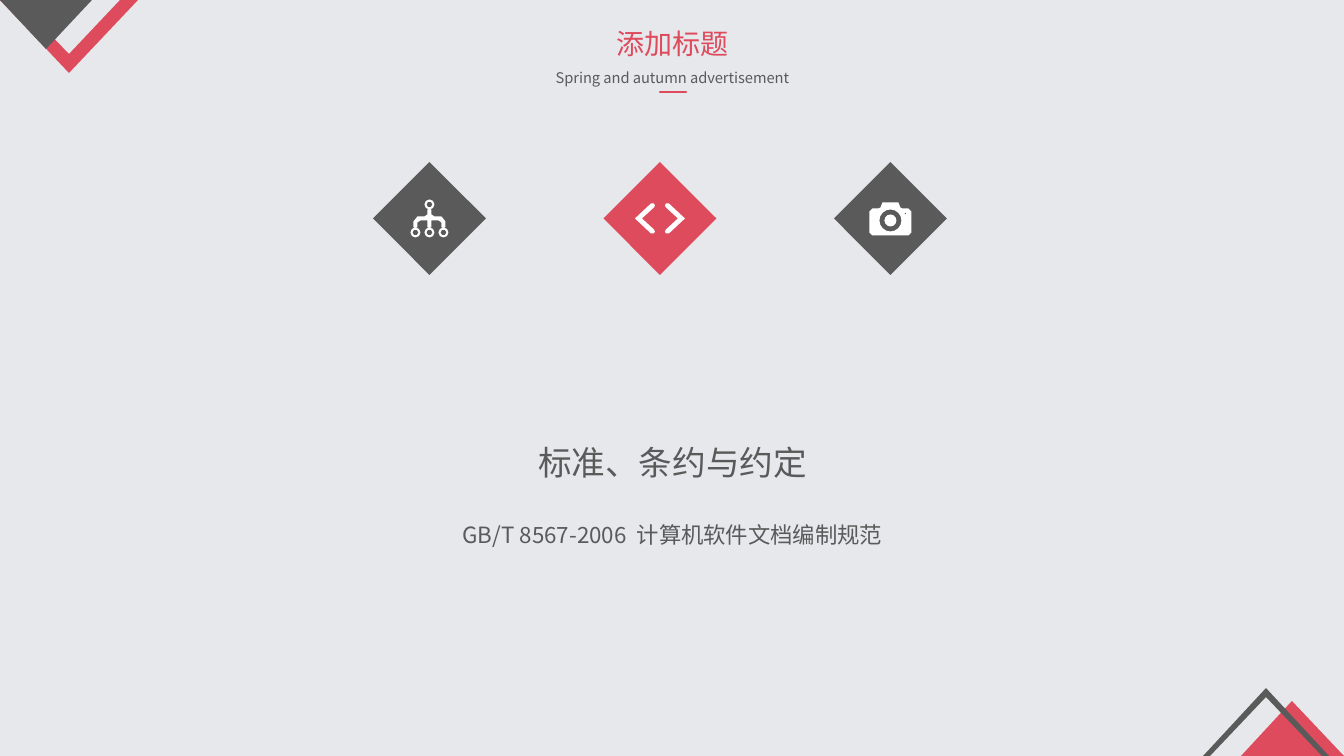
from dataclasses import dataclass
from math import cos, pi, sin

from lxml.etree import SubElement
from pptx import Presentation
from pptx.dml.color import RGBColor
from pptx.enum.shapes import MSO_CONNECTOR, MSO_SHAPE
from pptx.enum.text import MSO_ANCHOR, MSO_AUTO_SIZE, PP_ALIGN
from pptx.oxml.ns import qn
from pptx.util import Pt

EMU_PER_PX = 914400 / 100.8


@dataclass(frozen=True)
class Theme:
    """Colours, font and type sizes of the deck."""
    background: str = "E7E8EC"
    accent: str = "DE4B5D"
    dark: str = "5A5A5A"
    light: str = "FFFFFF"
    font: str = "Noto Sans CJK SC"
    title: float = 20
    subtitle: float = 10.5
    heading: float = 24
    body: float = 16
    rule: float = 1.75


THEME = Theme()


def px(n):
    """Turn px into EMU."""
    return round(n * EMU_PER_PX)


def rgb(color):
    """Turn a hex string into a colour."""
    return RGBColor.from_string(color)


def paint(sp, color):
    """Give a shape a flat fill without line or shadow."""
    sp.shadow.inherit = False
    sp.fill.solid()
    sp.fill.fore_color.rgb = rgb(color)
    sp.line.fill.background()
    return sp


def write(sp, text, size, color, spacing=None, wrap=True, anchor=MSO_ANCHOR.TOP):
    """Write one centred, formatted paragraph into a shape."""
    tf = sp.text_frame
    tf.word_wrap = wrap
    tf.auto_size = MSO_AUTO_SIZE.NONE
    tf.vertical_anchor = anchor
    p = tf.paragraphs[0]
    p.alignment = PP_ALIGN.CENTER
    if spacing:
        p.line_spacing = spacing
    r = p.add_run()
    r.text = text
    r.font.size = Pt(size)
    r.font.color.rgb = rgb(color)
    r.font.name = THEME.font
    SubElement(r.font._element, qn("a:ea")).set("typeface", THEME.font)


def add_text(s, box, text, **style):
    """Add a text box and write into it."""
    write(s.shapes.add_textbox(*map(px, box)), text, **style)


def outline(s, left, top, contours, color):
    """Draw closed contours, placed from a reference point, as one shape."""
    placed = [[(px(left + x), px(top + y)) for x, y in c] for c in contours]
    builder = s.shapes.build_freeform(*placed[0][0])
    for i, points in enumerate(placed):
        if i:
            builder.move_to(*points[0])
        builder.add_line_segments(points[1:], close=True)
    return paint(builder.convert_to_shape(), color)


def circle(cx, cy, radius, steps):
    """Return the points of a circle."""
    angles = (2 * pi * i / steps for i in range(steps))
    return [(cx + radius * cos(a), cy + radius * sin(a)) for a in angles]


def mirrored(points):
    """Reflect points across the vertical axis, in reverse order."""
    return [(-x, y) for x, y in reversed(points)]


def network_icon():
    """Return the contours of a tree with four ring nodes."""
    half = [(2, -9), (2, -4), (5, -2), (12, -2), (16, 3), (16, 9),
            (12, 9), (12, 4), (9, 2), (2, 2), (2, 9)]
    nodes = [(0, -14), (-14, 14), (0, 14), (14, 14)]
    return [half + mirrored(half)] + [circle(x, y, *ring) for x, y in nodes
                                      for ring in ((5, 8), (3, 6))]


def code_icon():
    """Return the contours of two angle brackets."""
    bracket = [(-9, -15), (-6, -15), (-5, -13), (-6, -11), (-18, 0),
               (-6, 11), (-5, 13), (-6, 15), (-9, 15), (-25, 0)]
    return [bracket, mirrored(bracket)]


def camera_icon():
    """Return the contours of a camera with lens and flash."""
    half = [(8, -16), (10, -11), (12, -10), (18, -10), (21, -7), (21, 14), (18, 17)]
    return [half + mirrored(half), circle(0, 2, 11, 16), circle(0, 2, 6, 12),
            circle(15, -5, 1, 4)]


def corner(s, box, layers):
    """Group the layered chevrons and triangles of a slide corner."""
    left, top = box[:2]
    s.shapes.add_group_shape([outline(s, left, top, [points], color)
                              for points, color in layers])


def header(s, box):
    """Place the title, subtitle and short rule."""
    left, top, width, height = box
    title = s.shapes.title
    title.left, title.top, title.width, title.height = map(
        px, (left + 110, top, width - 220, 44))
    write(title, "添加标题", size=THEME.title, color=THEME.accent,
          wrap=False, anchor=MSO_ANCHOR.MIDDLE)
    add_text(s, (left, top + 38, width, 31), "Spring and autumn advertisement",
             size=THEME.subtitle, color=THEME.dark, spacing=1.3)
    middle, bottom = left + (width + 1) // 2, top + height
    rule = s.shapes.add_connector(MSO_CONNECTOR.STRAIGHT, px(middle - 13), px(bottom),
                                  px(middle + 13), px(bottom))
    rule.line.color.rgb = rgb(THEME.accent)
    rule.line.width = Pt(THEME.rule)
    rule._element.spPr.find(qn("a:ln")).set("cap", "rnd")
    SubElement(rule._element.spPr, qn("a:effectLst"))


def icon_row(s, box):
    """Spread the icon diamonds evenly over the box."""
    left, top, width, size = box
    items = [(network_icon(), THEME.dark), (code_icon(), THEME.accent),
             (camera_icon(), THEME.dark)]
    pitch = (width - size) / (len(items) - 1)
    for i, (contours, color) in enumerate(items):
        x = left + i * pitch
        paint(s.shapes.add_shape(MSO_SHAPE.DIAMOND, *map(px, (x, top, size, size))), color)
        outline(s, x + size / 2, top + size / 2, contours, THEME.light)


def statement(s, box):
    """Place the heading above its line of detail."""
    left, top, width, height = box
    add_text(s, (left, top + 71, width, height - 71),
             "GB/T 8567-2006  计算机软件文档编制规范",
             size=THEME.body, color=THEME.dark, spacing=1.3)
    add_text(s, (left + 401, top, width - 802, 50), "标准、条约与约定",
             size=THEME.heading, color=THEME.dark)


def main():
    """Build the slide and save it."""
    prs = Presentation()
    prs.slide_width, prs.slide_height = px(1344), px(756)
    s = prs.slides.add_slide(prs.slide_layouts[5])
    s.background.fill.solid()
    s.background.fill.fore_color.rgb = rgb(THEME.background)
    corner(s, (0, 0, 138, 73), [
        ([(69, 73), (138, 0), (120, 0), (69, 54), (17, 0), (0, 0)], THEME.accent),
        ([(46, 49), (92, 0), (0, 0)], THEME.dark)])
    corner(s, (1203, 688, 141, 68), [
        ([(89, 13), (38, 68), (141, 68)], THEME.accent),
        ([(126, 68), (119, 68), (63, 9), (7, 68), (0, 68), (63, 0)], THEME.dark)])
    header(s, (496, 21, 353, 71))
    statement(s, (103, 437, 1139, 113))
    icon_row(s, (373, 162, 574, 113))
    prs.save("out.pptx")


if __name__ == "__main__":
    main()
